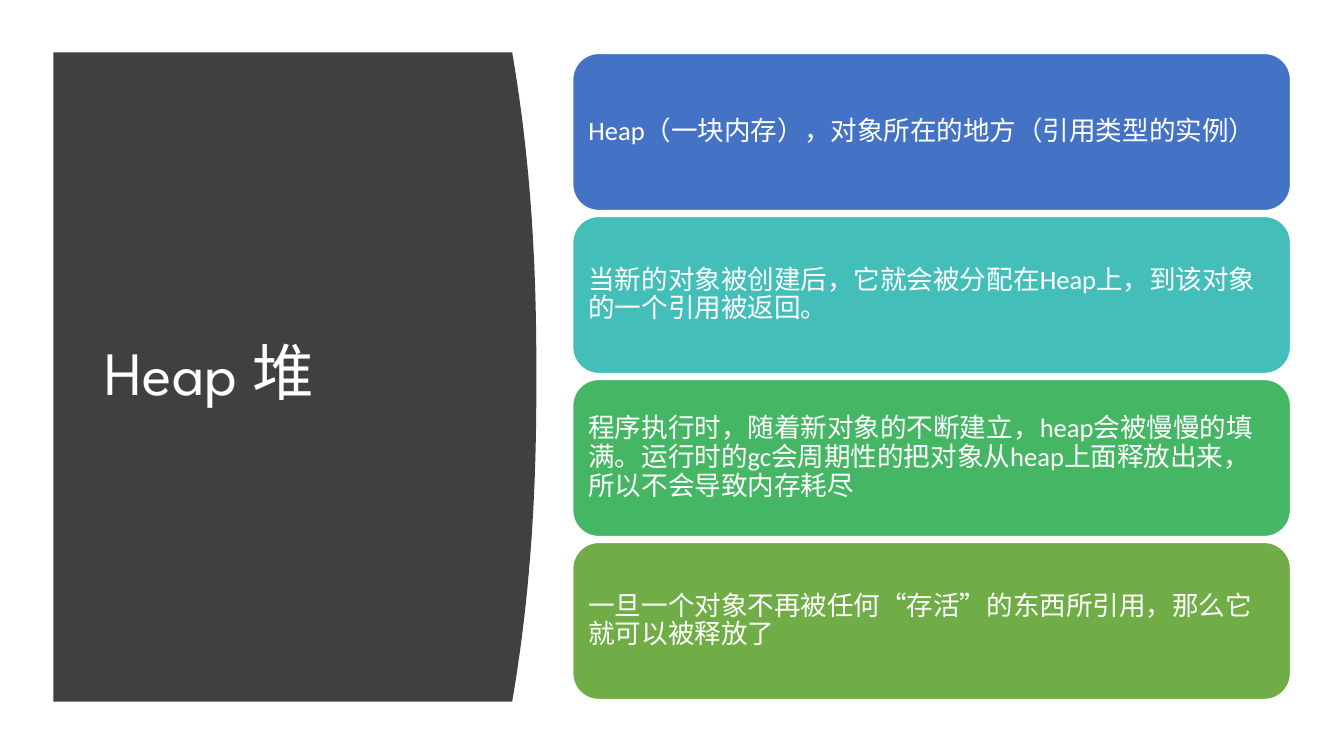
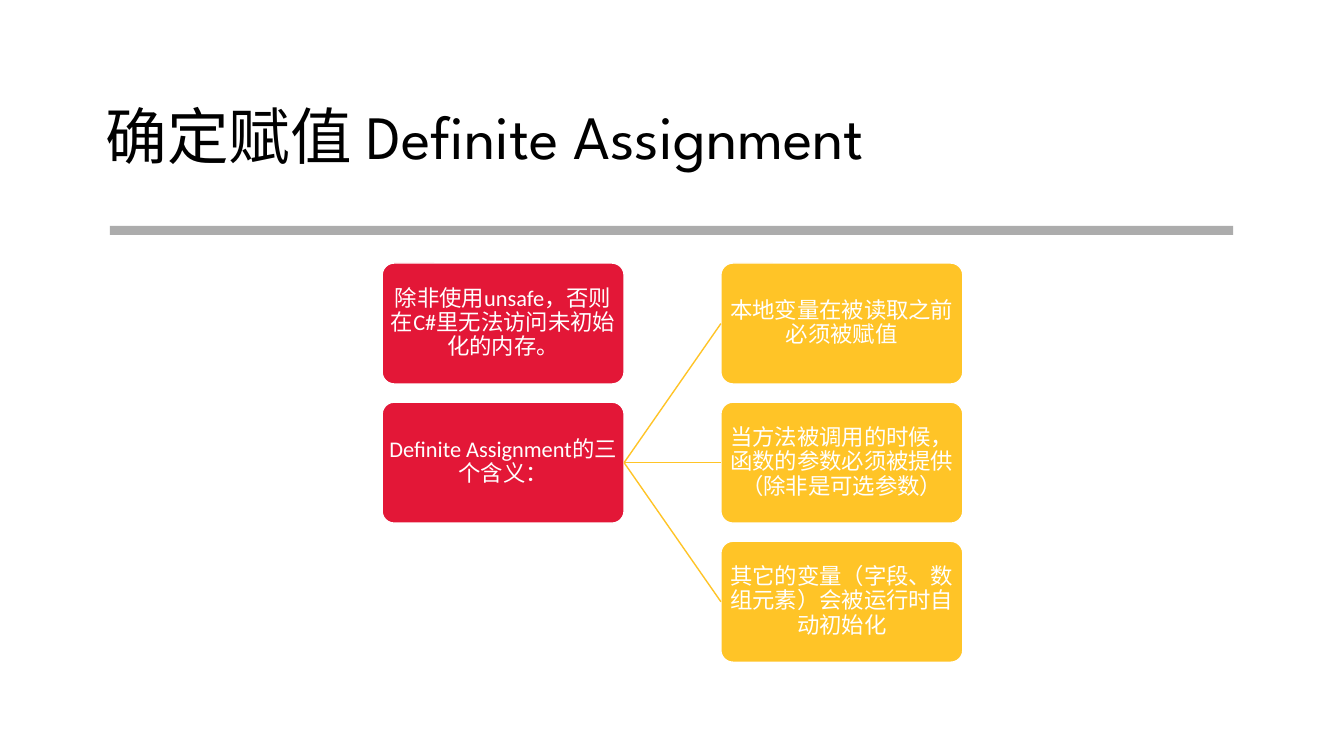
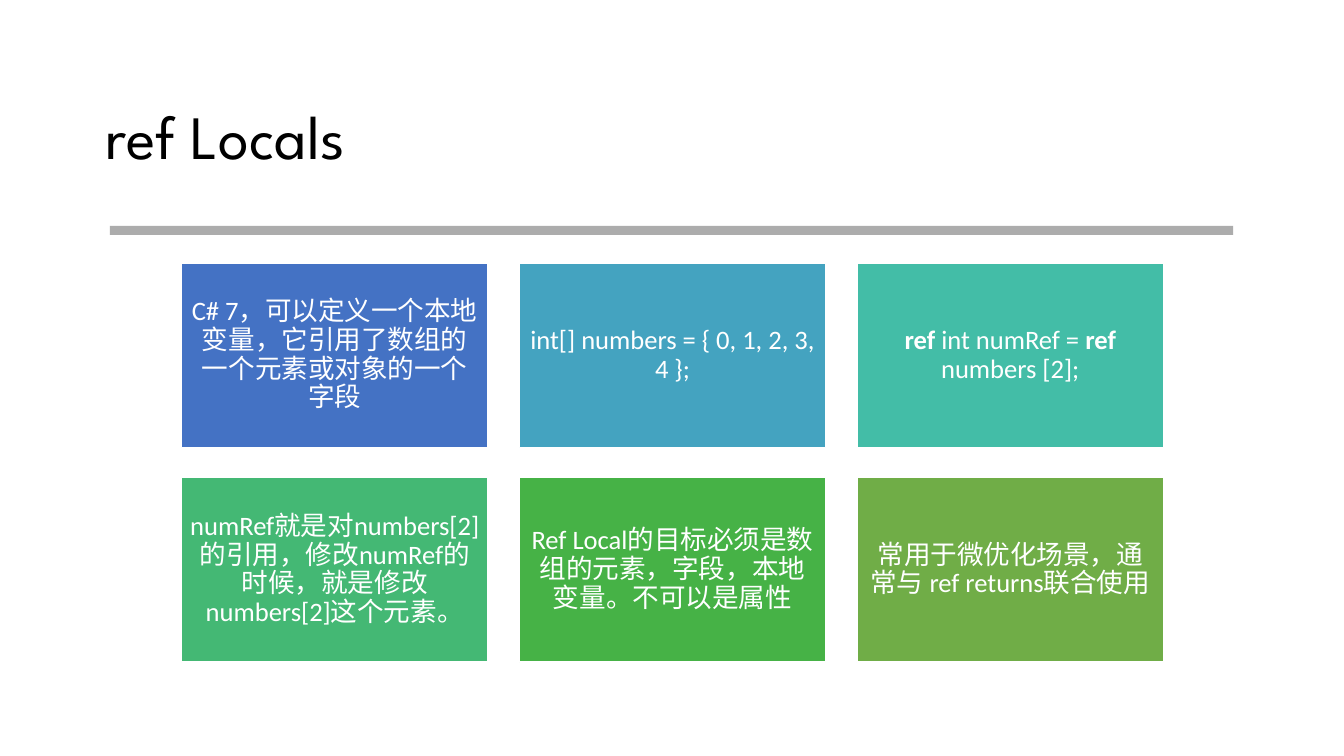
"""Build three slides on heap memory, definite assignment and ref locals."""
from lxml.etree import SubElement
from pptx import Presentation
from pptx.dml.color import RGBColor
from pptx.enum.shapes import MSO_CONNECTOR, MSO_SHAPE
from pptx.enum.text import MSO_ANCHOR, PP_ALIGN
from pptx.oxml.ns import qn
from pptx.util import Inches, Pt

COLORS = {
    "white": "FFFFFF", "black": "000000", "panel": "404040", "rule": "808080",
    "blue": "4472C4", "sky": "44A3C0", "aqua": "43BEB9", "teal": "43BDA7",
    "mint": "44B874", "green": "45B664", "leaf": "46B246", "olive": "70AD47",
    "red": "E31737", "amber": "FFC427",
}
RGB = {name: RGBColor.from_string(value) for name, value in COLORS.items()}


def write(box, text, size, font, color, align, inset_x, inset_y):
    frame = box.text_frame
    frame.word_wrap = True
    frame.vertical_anchor = MSO_ANCHOR.MIDDLE
    frame.margin_left = frame.margin_right = Inches(inset_x)
    frame.margin_top = frame.margin_bottom = Inches(inset_y)
    para = frame.paragraphs[0]
    para.alignment = align
    para.line_spacing = 0.9
    para.font.size = Pt(size)
    para.font.name = font
    para.font.color.rgb = RGB[color]
    for index, part in enumerate(text.split("**")):
        if part:
            span = para.add_run()
            span.text = part
            if index % 2:
                span.font.bold = True


def add_card(page, kind, place, fill, text, size, align, inset):
    card = page.shapes.add_shape(kind, *map(Inches, place))
    card.shadow.inherit = False
    card.fill.solid()
    card.fill.fore_color.rgb = RGB[fill]
    card.line.color.rgb = RGB["white"]
    card.line.width = Pt(1)
    write(card, text, size, "Calibri", "white", align, inset, inset)
    return card


deck = Presentation()
deck.slide_width = Inches(13.33)
deck.slide_height = Inches(7.5)
heap_page, assignment_page, ref_page = [
    deck.slides.add_slide(deck.slide_layouts[6]) for _ in range(3)]

left, top, bottom, edge, bulge = 0.53, 0.52, 6.96, 5.32, 0.24
steps = 40
curve = []
for step in range(steps + 1):
    offset = abs(2 * step / steps - 1)
    curve.append((Inches(edge - bulge * offset ** 2.3),
                  Inches(top + (bottom - top) * step / steps)))
outline = heap_page.shapes.build_freeform(Inches(left), Inches(top))
outline.add_line_segments(curve + [(Inches(left), Inches(bottom))], close=True)
panel = outline.convert_to_shape()
panel.shadow.inherit = False
panel.fill.solid()
panel.fill.fore_color.rgb = RGB["panel"]
panel.line.fill.background()

wide_title = (0.95, 0.66, 11.43, 1.45)
titles = [
    (heap_page, "Heap 堆", (0.94, 1.11, 3.74, 5.24), "white"),
    (assignment_page, "确定赋值 Definite Assignment", wide_title, "black"),
    (ref_page, "ref Locals", wide_title, "black"),
]
for page, text, place, color in titles:
    title = page.shapes.add_textbox(*map(Inches, place))
    write(title, text, 44, "League Spartan", color, PP_ALIGN.LEFT, 0.1, 0.05)

for page in (assignment_page, ref_page):
    rule = page.shapes.add_shape(
        MSO_SHAPE.RECTANGLE, Inches(1.09), Inches(2.24), Inches(11.14), Inches(0.09))
    rule.shadow.inherit = False
    rule.fill.solid()
    rule.fill.fore_color.rgb = RGB["rule"]
    rule.line.fill.background()
    tint = rule.fill._xPr.find(qn("a:solidFill"))[0]
    SubElement(tint, qn("a:alpha"), val="65000")

heap_cards = [
    ("blue", "Heap（一块内存），对象所在的地方（引用类型的实例）"),
    ("aqua", "当新的对象被创建后，它就会被分配在Heap上，到该对象的一个引用被返回。"),
    ("green", "程序执行时，随着新对象的不断建立，heap会被慢慢的填满。"
              "运行时的gc会周期性的把对象从heap上面释放出来，所以不会导致内存耗尽"),
    ("olive", "一旦一个对象不再被任何“存活”的东西所引用，那么它就可以被释放了"),
]
for row, (fill, text) in enumerate(heap_cards):
    add_card(heap_page, MSO_SHAPE.ROUNDED_RECTANGLE, (5.68, 0.53 + 1.617 * row, 7.12, 1.56),
             fill, text, 19, PP_ALIGN.LEFT, 0.08)

assignment_columns = [
    (3.79, "red", ["除非使用unsafe，否则在C#里无法访问未初始化的内存。",
                   "Definite Assignment的三个含义："]),
    (7.15, "amber", ["本地变量在被读取之前必须被赋值",
                     "当方法被调用的时候，函数的参数必须被提供（除非是可选参数）",
                     "其它的变量（字段、数组元素）会被运行时自动初始化"]),
]
columns = []
for x, fill, texts in assignment_columns:
    cards = []
    for row, text in enumerate(texts):
        card = add_card(assignment_page, MSO_SHAPE.ROUNDED_RECTANGLE,
                        (x, 2.61 + 1.38 * row, 2.4, 1.2), fill, text, 16, PP_ALIGN.CENTER, 0.01)
        card.adjustments[0] = 0.1
        cards.append(card)
    columns.append(cards)

(_, meaning_card), detail_cards = columns
for detail_card in detail_cards:
    link = assignment_page.shapes.add_connector(MSO_CONNECTOR.STRAIGHT, 0, 0, 0, 0)
    link.begin_connect(meaning_card, 3)
    link.end_connect(detail_card, 1)
    link.line.color.rgb = RGB["amber"]
    link.line.width = Pt(1)
    SubElement(link._element.spPr, qn("a:effectLst"))

ref_cards = [
    ("blue", "C# 7，可以定义一个本地变量，它引用了数组的一个元素或对象的一个字段"),
    ("sky", "int[] numbers = { 0, 1, 2, 3, 4 };"),
    ("teal", "**ref **int numRef = **ref **numbers [2];"),
    ("mint", "numRef就是对numbers[2]的引用，修改numRef的时候，就是修改numbers[2]这个元素。"),
    ("leaf", "Ref Local的目标必须是数组的元素，字段，本地变量。不可以是属性"),
    ("olive", "常用于微优化场景，通常与 ref returns联合使用"),
]
for index, (fill, text) in enumerate(ref_cards):
    row, column = divmod(index, 3)
    add_card(ref_page, MSO_SHAPE.RECTANGLE,
             (1.8 + 3.35 * column, 2.61 + 2.13 * row, 3.04, 1.83),
             fill, text, 19, PP_ALIGN.CENTER, 0.08)

deck.save("out.pptx")
